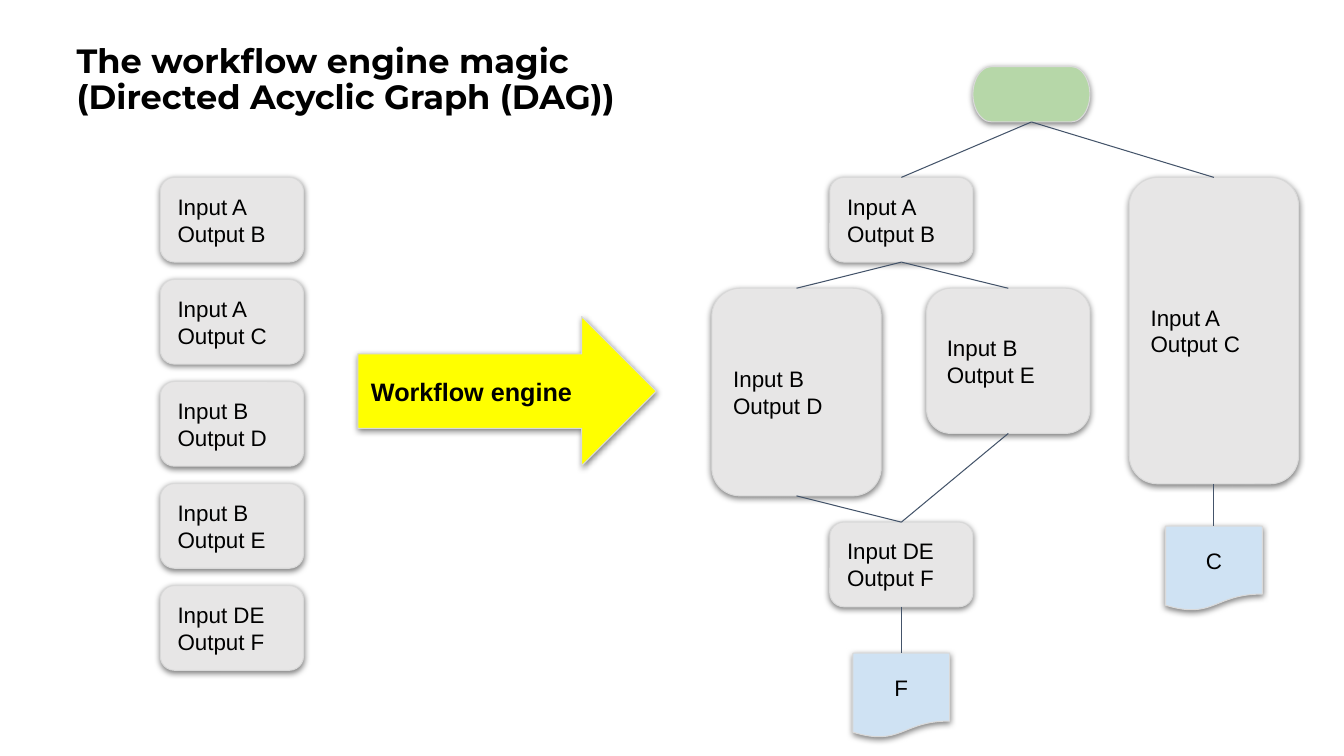
from lxml import etree
from pptx import Presentation
from pptx.dml.color import RGBColor
from pptx.enum.shapes import MSO_CONNECTOR, MSO_SHAPE
from pptx.enum.text import MSO_ANCHOR, MSO_AUTO_SIZE, PP_ALIGN
from pptx.oxml.ns import qn
from pptx.util import Inches, Pt

TASK = MSO_SHAPE.FLOWCHART_ALTERNATE_PROCESS
START = MSO_SHAPE.FLOWCHART_TERMINATOR
DOCUMENT = MSO_SHAPE.FLOWCHART_DOCUMENT
ARROW = MSO_SHAPE.RIGHT_ARROW
STRAIGHT = MSO_CONNECTOR.STRAIGHT
LEFT, CENTER = PP_ALIGN.LEFT, PP_ALIGN.CENTER
TOP, MIDDLE = MSO_ANCHOR.TOP, MSO_ANCHOR.MIDDLE
TOP_SITE, BOTTOM_SITE = 0, 2

BLACK = RGBColor(0x00, 0x00, 0x00)
GRAY = RGBColor(0xE7, 0xE6, 0xE6)
OUTLINE = RGBColor(0xD9, 0xD9, 0xD9)
GREEN = RGBColor(0xB6, 0xD7, 0xA8)
BLUE = RGBColor(0xCF, 0xE2, 0xF3)
YELLOW = RGBColor(0xFF, 0xFF, 0x00)
SLATE = RGBColor(0x44, 0x54, 0x6A)

TITLE = "The workflow engine magic\v(Directed Acyclic Graph (DAG))"
TASKS = {
    "AB": ["Input A", "Output B"],
    "AC": ["Input A", "Output C"],
    "BD": ["Input B", "Output D"],
    "BE": ["Input B", "Output E"],
    "DEF": ["Input DE", "Output F"],
}
TASK_WIDTH, TASK_HEIGHT = 1.42, 0.84
LIST_LEFT, LIST_TOP, LIST_STEP = 1.59, 1.76, 1.0125

GRAPH_TASKS = {
    "AB": (8.23, 1.76, TASK_WIDTH, TASK_HEIGHT),
    "AC": (11.2, 1.76, 1.68, 3.04),
    "BD": (7.06, 2.86, 1.68, 2.06),
    "BE": (9.19, 2.86, 1.62, 1.44),
    "DEF": (8.23, 5.18, TASK_WIDTH, TASK_HEIGHT),
}
RESULTS = {
    "F": (8.46, 6.48, 0.96, 0.84),
    "C": (11.56, 5.22, 0.96, 0.84),
}
EDGES = [
    ("start", "AB"), ("start", "AC"), ("AB", "BD"), ("AB", "BE"),
    ("BD", "DEF"), ("BE", "DEF"), ("DEF", "F"), ("AC", "C"),
]
LABEL = {"name": "Arial", "size": Pt(16), "bold": False}
ARROW_LABEL = {"name": "Arial", "size": Pt(18), "bold": True}
HEADING = {"name": "Montserrat", "size": Pt(24), "bold": True}


def format_text(frame, lines, font, align, anchor):
    """Fill a text frame with one paragraph per line."""
    margin = Inches(0.13)
    frame_format = {
        "word_wrap": True, "auto_size": MSO_AUTO_SIZE.NONE, "vertical_anchor": anchor,
        "margin_left": margin, "margin_right": margin,
        "margin_top": margin, "margin_bottom": margin,
    }
    for name, value in frame_format.items():
        setattr(frame, name, value)
    for index, line in enumerate(lines):
        paragraph = frame.add_paragraph() if index else frame.paragraphs[0]
        paragraph.text = line
        paragraph.alignment = align
        for name, value in font.items():
            setattr(paragraph.font, name, value)
        paragraph.font.color.rgb = BLACK


def add_shadow(shape):
    """Give a shape a soft shadow straight below it."""
    shape.shadow.inherit = False
    effects = shape._element.spPr.find(qn("a:effectLst"))
    shadow = etree.SubElement(
        effects, qn("a:outerShdw"), blurRad=str(Pt(4.5)), dist=str(Pt(1.5)),
        dir="5400000", algn="bl", rotWithShape="0")
    color = etree.SubElement(shadow, qn("a:srgbClr"), val=str(BLACK))
    etree.SubElement(color, qn("a:alpha"), val="50000")


def add_node(slide, kind, box, fill, lines=(), font=LABEL, align=LEFT):
    """Add a filled, outlined shape with its label."""
    shape = slide.shapes.add_shape(kind, *map(Inches, box))
    shape.fill.solid()
    shape.fill.fore_color.rgb = fill
    shape.line.color.rgb = OUTLINE
    shape.line.width = Pt(0.75)
    add_shadow(shape)
    format_text(shape.text_frame, lines, font, align, MIDDLE)
    return shape


def add_edge(slide, source, target):
    """Join the bottom of one node to the top of the next."""
    connector = slide.shapes.add_connector(STRAIGHT, 0, 0, 0, 0)
    connector.begin_connect(source, BOTTOM_SITE)
    connector.end_connect(target, TOP_SITE)
    connector.line.color.rgb = SLATE
    connector.line.width = Pt(0.75)
    etree.SubElement(connector._element.spPr, qn("a:effectLst"))


def main():
    """Build the workflow slide."""
    presentation = Presentation()
    presentation.slide_width = Inches(13.33)
    presentation.slide_height = Inches(7.5)
    slide = presentation.slides.add_slide(presentation.slide_layouts[5])

    title = slide.shapes.title
    title.left, title.top = Inches(0.63), Inches(0.31)
    title.width, title.height = Inches(11.5), Inches(1.45)
    format_text(title.text_frame, [TITLE], HEADING, LEFT, TOP)
    title.text_frame.paragraphs[0].line_spacing = 0.9

    for row, lines in enumerate(TASKS.values()):
        box = (LIST_LEFT, LIST_TOP + row * LIST_STEP, TASK_WIDTH, TASK_HEIGHT)
        add_node(slide, TASK, box, GRAY, lines)

    nodes = {"start": add_node(slide, START, (9.65, 0.66, 1.16, 0.55), GREEN)}
    for name, box in GRAPH_TASKS.items():
        nodes[name] = add_node(slide, TASK, box, GRAY, TASKS[name])
    for name, box in RESULTS.items():
        nodes[name] = add_node(slide, DOCUMENT, box, BLUE, [name], align=CENTER)
    for source, target in EDGES:
        add_edge(slide, nodes[source], nodes[target])

    add_node(slide, ARROW, (3.55, 3.14, 2.96, 1.48), YELLOW, ["Workflow engine"], ARROW_LABEL)
    presentation.save("out.pptx")


if __name__ == "__main__":
    main()
